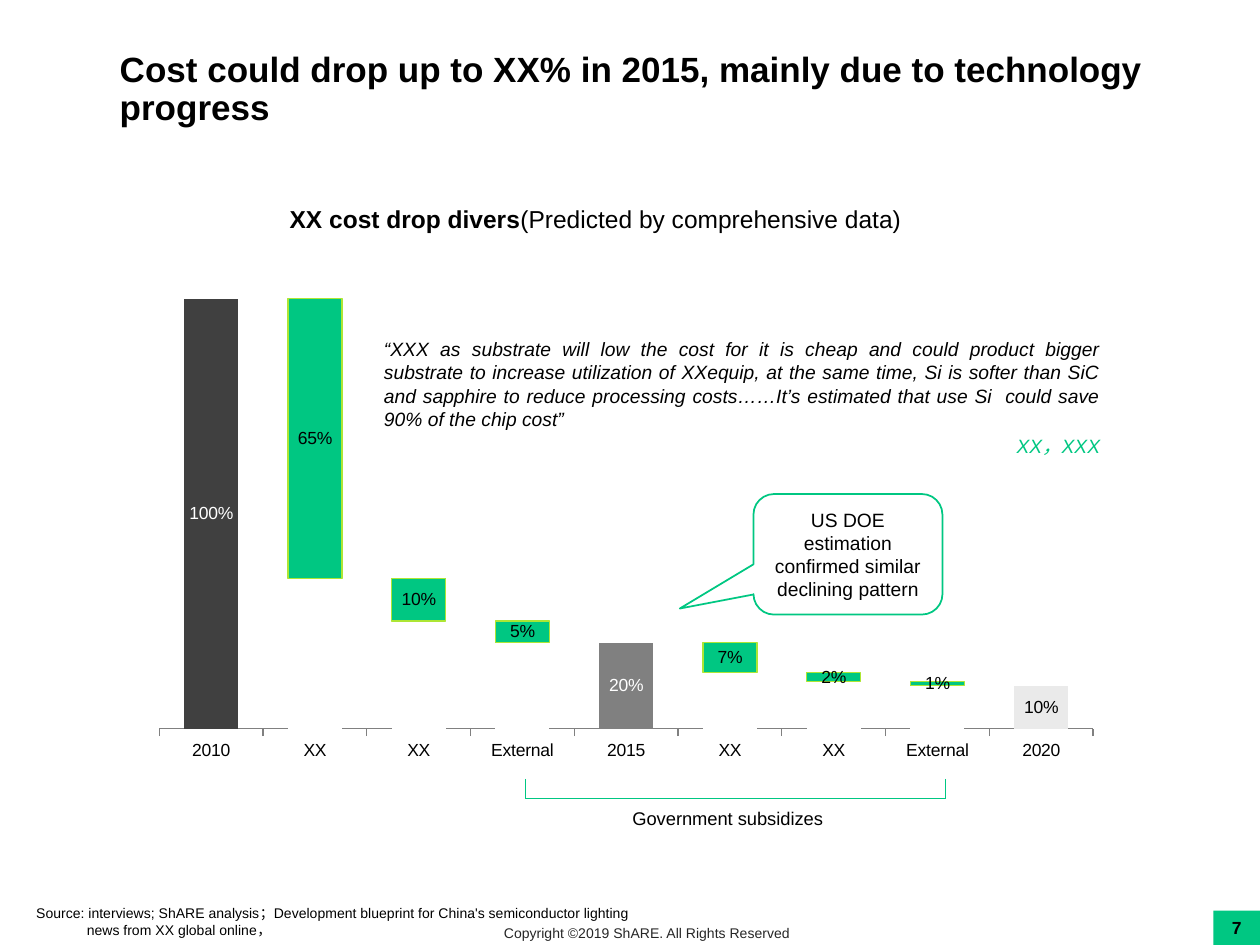
from dataclasses import dataclass

import pptx
import pptx.chart.data
import pptx.dml.color
import pptx.enum.chart
import pptx.enum.shapes
import pptx.enum.text
import pptx.oxml
import pptx.oxml.ns
import pptx.util

Cm, Pt = pptx.util.Cm, pptx.util.Pt
Align = pptx.enum.text.PP_ALIGN
Anchor = pptx.enum.text.MSO_ANCHOR
Shape = pptx.enum.shapes.MSO_SHAPE
FONT = "Arial"
GREEN, BLACK, WHITE = "00C782", "000000", "FFFFFF"


@dataclass
class Run:
    text: str
    size: float
    color: str = BLACK
    bold: bool = False
    italic: bool = False


@dataclass
class Para:
    runs: list[Run]
    align: Align = Align.LEFT
    before: float = 0
    indent: float = 0


@dataclass
class Box:
    left: float
    top: float
    width: float
    height: float

    def place(self) -> list[int]:
        return [Cm(v) for v in (self.left, self.top, self.width, self.height)]


def rgb(code: str):
    return pptx.dml.color.RGBColor.from_string(code)


def style(font, size: float, color: str) -> None:
    font.name, font.size = FONT, Pt(size)
    font.color.rgb = rgb(color)


def write(frame, paras: list[Para], anchor=Anchor.TOP) -> None:
    frame.word_wrap = True
    frame.vertical_anchor = anchor
    for i, para in enumerate(paras):
        p = frame.paragraphs[0] if i == 0 else frame.add_paragraph()
        p.alignment = para.align
        p.space_before = Pt(para.before)
        if para.indent:
            p._p.get_or_add_pPr().set("marL", str(Cm(para.indent)))
        for part in para.runs:
            run = p.add_run()
            run.text = part.text
            style(run.font, part.size, part.color)
            run.font.bold, run.font.italic = part.bold, part.italic


def label(slide, box: Box, paras: list[Para]) -> None:
    write(slide.shapes.add_textbox(*box.place()).text_frame, paras)


def panel(slide, kind, box: Box, fill: str, line: str, para: Para):
    shape = slide.shapes.add_shape(kind, *box.place())
    shape.shadow.inherit = False
    shape.fill.solid()
    shape.fill.fore_color.rgb = rgb(fill)
    shape.line.color.rgb = rgb(line)
    shape.line.width = Pt(1)
    write(shape.text_frame, [para], Anchor.MIDDLE)
    return shape


def rule(slide, x1: float, y1: float, x2: float, y2: float) -> None:
    kind = pptx.enum.shapes.MSO_CONNECTOR.STRAIGHT
    line = slide.shapes.add_connector(kind, Cm(x1), Cm(y1), Cm(x2), Cm(y2))
    line.line.color.rgb = rgb(GREEN)
    line.line.width = Pt(0.5)
    props = line._element.spPr
    props.append(pptx.oxml.parse_xml(
        f'<a:effectLst {pptx.oxml.ns.nsdecls("a")}/>'))


def fix_plot(chart, x: float, y: float, w: float, h: float) -> None:
    """Pin the inner plot area to fractions of the chart."""
    area = chart._chartSpace.chart.plotArea
    for old in area.findall(pptx.oxml.ns.qn("c:layout")):
        area.remove(old)
    sizes = "".join(f'<c:{k} val="{v}"/>'
                    for k, v in zip("xywh", (x, y, w, h)))
    area.insert(0, pptx.oxml.parse_xml(
        f'<c:layout {pptx.oxml.ns.nsdecls("c")}><c:manualLayout>'
        '<c:layoutTarget val="inner"/><c:xMode val="edge"/>'
        f'<c:yMode val="edge"/>{sizes}</c:manualLayout></c:layout>'))


def draw_chart(slide, box: Box) -> None:
    enum = pptx.enum.chart
    data = pptx.chart.data.CategoryChartData(number_format="0%")
    steps = ["XX", "XX", "External"]
    data.categories = ["2010", *steps, "2015", *steps, "2020"]
    data.add_series("Series 1", [1, .35, .25, .2, .2, .13, .11, .1, .1])
    data.add_series("Series 2",
                    [None, .65, .1, .05, None, .07, .02, .01, None])
    chart = slide.shapes.add_chart(
        enum.XL_CHART_TYPE.COLUMN_STACKED, *box.place(), data).chart
    style(chart.font, 10, BLACK)
    chart.has_legend = chart.has_title = False
    fix_plot(chart, 0.02, 0.043, 0.96, 0.768)
    plot = chart.plots[0]
    plot.vary_by_categories = False
    plot.gap_width, plot.overlap = 92, 100

    # Axes
    values, cats = chart.value_axis, chart.category_axis
    values.minimum_scale, values.maximum_scale = 0, 1.2
    values.has_major_gridlines = values.visible = False
    cats.major_tick_mark = enum.XL_TICK_MARK.OUTSIDE
    cats.format.line.color.rgb = rgb("808080")
    style(cats.tick_labels.font, 10, BLACK)

    # White bars lift the steps; totals have their own colours
    base, drop = plot.series
    for series, color in ((base, WHITE), (drop, GREEN)):
        series.invert_if_negative = False
        series.format.fill.solid()
        series.format.fill.fore_color.rgb = rgb(color)
    base.data_labels.show_value = False
    totals = {0: ("404040", WHITE), 4: ("808080", WHITE),
              8: ("EAEAEA", BLACK)}
    for i, (fill, ink) in totals.items():
        point = base.points[i]
        point.format.fill.solid()
        point.format.fill.fore_color.rgb = rgb(fill)
        style(point.data_label.font, 10, ink)
        point.data_label.position = enum.XL_LABEL_POSITION.CENTER

    drop.format.line.color.rgb = rgb("ADE634")
    drop.format.line.width = Pt(0.75)
    tags = drop.data_labels
    tags.show_value = True
    tags.number_format, tags.number_format_is_linked = "0%", False
    tags.position = enum.XL_LABEL_POSITION.CENTER
    style(tags.font, 10, BLACK)


def main() -> None:
    deck = pptx.Presentation()
    deck.slide_width, deck.slide_height = Cm(25.4), Cm(19.05)
    slide = deck.slides.add_slide(deck.slide_layouts[5])

    # Title
    title = slide.shapes.title
    title.left, title.top, title.width, title.height = Box(
        2.16, 0.43, 22.4, 2.77).place()
    write(title.text_frame, [Para([Run(
        "Cost could drop up to XX% in 2015, mainly due to technology "
        "progress", 20, bold=True)])], Anchor.MIDDLE)
    title.text_frame.paragraphs[0].line_spacing = 0.9

    # Footer
    panel(slide, Shape.RECTANGLE, Box(24.46, 18.36, 0.94, 0.69), GREEN, GREEN,
          Para([Run("7", 10, bold=True)], Align.CENTER)).line.fill.background()
    label(slide, Box(9.91, 18.52, 6.45, 0.61), [Para([Run(
        "Copyright ©2019 ShARE. All Rights Reserved", 8, "262626")])])

    # Chart with heading
    draw_chart(slide, Box(2.82, 3.71, 19.61, 13.54))
    label(slide, Box(5.59, 3.99, 13.2, 0.86), [Para([
        Run("XX cost drop divers", 14, bold=True),
        Run("(Predicted by comprehensive data)", 14)])])

    # Sources
    label(slide, Box(0.48, 18.11, 13.11, 0.94), [
        Para([Run("Source: interviews; ShARE analysis；Development blueprint "
                  "for China's semiconductor lighting", 8)]),
        Para([Run("news from XX global online，", 8)], indent=1.02)])

    # Quote
    label(slide, Box(7.49, 6.68, 14.94, 4.22), [
        Para([Run(
            "“XXX as substrate will low the cost for it is cheap and could "
            "product bigger substrate to increase utilization of XXequip, at "
            "the same time, Si is softer than SiC and sapphire to reduce "
            "processing costs……It’s estimated that use Si  could save 90% of "
            "the chip cost”", 11, italic=True)], Align.JUSTIFY),
        Para([Run("XX，XXX", 11, GREEN, italic=True)], Align.RIGHT, 2.2)])

    # Subsidy bracket
    left, right, top, low = 10.6, 19.05, 15.7, 16.1
    for x in (left, right):
        rule(slide, x, top, x, low)
    rule(slide, left, low, right, low)
    label(slide, Box(12.5, 16.15, 4.6, 0.74),
          [Para([Run("Government subsidizes", 10.5)])])

    # Callout
    note = panel(
        slide, Shape.ROUNDED_RECTANGULAR_CALLOUT,
        Box(15.19, 9.96, 3.81, 2.43), WHITE, GREEN,
        Para([Run("US DOE estimation confirmed similar declining pattern",
                  11)], Align.CENTER))
    for i, value in enumerate((-0.89, 0.45, 0.17)):
        note.adjustments[i] = value

    deck.save("out.pptx")


if __name__ == "__main__":
    main()
